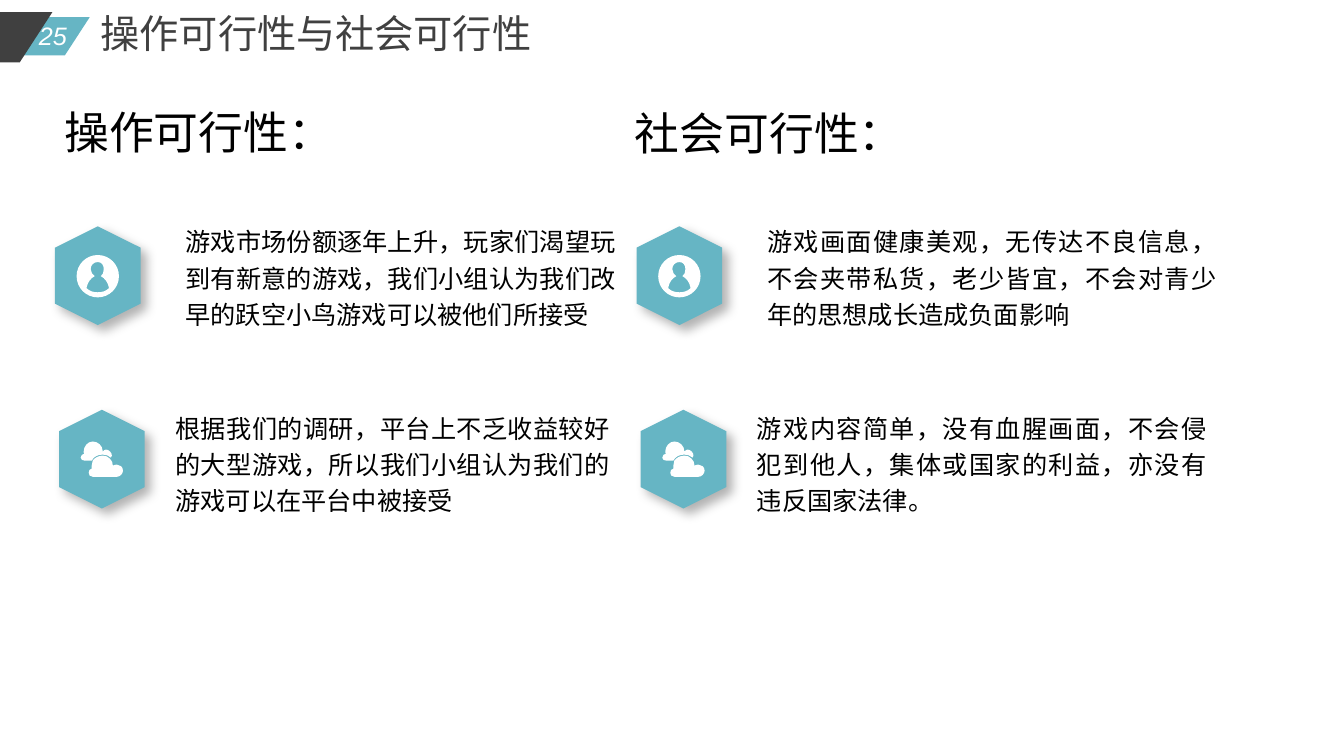
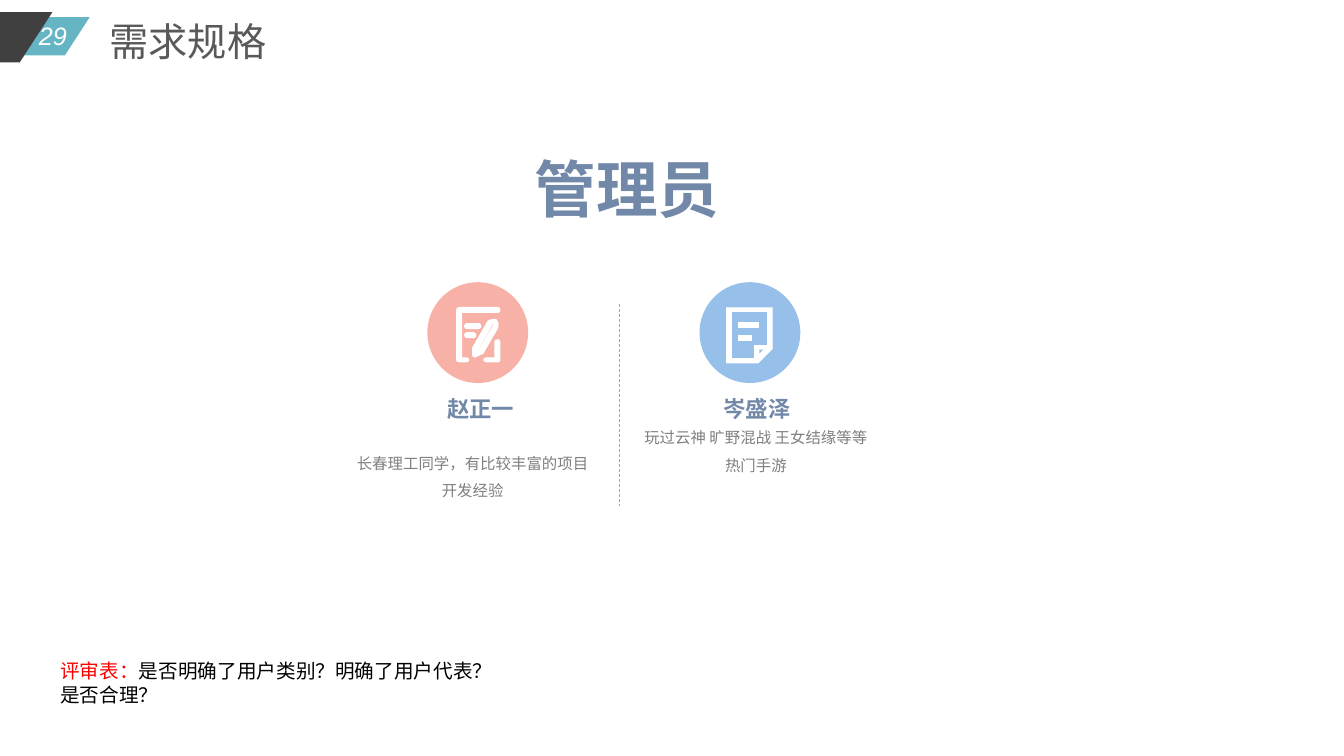
from dataclasses import dataclass
from typing import NamedTuple

from lxml.etree import SubElement
from pptx import Presentation
from pptx.dml.color import RGBColor
from pptx.enum.dml import MSO_LINE_DASH_STYLE as Dash
from pptx.enum.lang import MSO_LANGUAGE_ID as Language
from pptx.enum.shapes import MSO_CONNECTOR_TYPE as Connector
from pptx.enum.shapes import MSO_SHAPE as Preset
from pptx.enum.text import MSO_AUTO_SIZE as AutoSize
from pptx.enum.text import PP_ALIGN as Align
from pptx.oxml.ns import qn
from pptx.shapes.autoshape import Shape
from pptx.slide import Slide
from pptx.util import Inches, Pt

TEAL, DARK, WHITE, BLACK = "66B5C4", "404040", "FFFFFF", "000000"
SLATE, GRAY, TITLE_GRAY, RULE_GRAY = "7188A8", "7F7F7F", "595959", "A6A6A6"
CORAL, SKY, RED = "F7B1A6", "96C0E9", "FF0000"
LATIN_FONT, CHINESE_FONT = "Arial", "Noto Sans CJK SC"

COLUMN_STEP = 5.77


class Box(NamedTuple):
    left: float
    top: float
    width: float
    height: float


@dataclass
class TextStyle:
    size: float
    color: str
    font: str = LATIN_FONT
    bold: bool = False
    italic: bool = False
    align: Align | None = None
    spacing: float | None = None
    wrap: bool = True
    inset: bool = True


@dataclass
class Icon:
    """Outlines in hundredths of an inch, plus bars given as boxes."""
    outlines: tuple[str, ...]
    bars: tuple[Box, ...] = ()
    bar_preset: Preset = Preset.RECTANGLE
    line_width: float = 0


@dataclass
class Feature:
    column: int
    hexagon_left: float
    hexagon_top: float
    icon: Icon
    icon_top: float
    text_box: Box
    text: str


@dataclass
class Member:
    circle_left: float
    color: str
    icon: Icon
    icon_left: float
    name: str
    name_box: Box
    profile: str
    profile_box: Box


PERSON = Icon((
    "M 21 0 C 9.4 0 0 9.4 0 21 C 0 32.6 9.4 42 21 42 C 32.6 42 42 32.6 42 21 C 42 9.4 32.6 0 21 0 "
    "M 32 33 C 29 36 25 37 21 37 C 17 37 13 36 10 33 C 10 33 10 32 10 32 C 11 27 14 23 18 21 "
    "C 16 20 14 17 14 14 C 14 10 17 7 21 7 C 25 7 27 10 27 14 C 27 17 26 20 24 21 "
    "C 28 23 31 27 32 32 C 32 32 32 33 32 33",))
CLOUDS = Icon((
    "M 22 14 C 25 14 27 15 29 17 C 31 19 32 21 32 24 C 33 23 35 23 36 23 C 39 23 42 25 42 29 "
    "C 42 32 39 35 36 35 L 12 35 C 9 35 8 33 8 31 C 8 29 9 27 11 27 C 11 26 11 25 11 24 "
    "C 11 22 12 21 12 19 C 14 16 18 14 22 14 "
    "M 12 0 C 17 0 22 4 22 10 C 23 9 24 8 25 8 C 28 8 31 11 31 14 C 31 15 30 15 30 16 "
    "C 28 14 25 13 22 13 C 17 13 13 15 11 19 L 4 19 C 2 19 0 18 0 16 C 0 14 2 12 4 12 "
    "C 3 12 3 11 3 10 C 3 5 7 0 12 0",))
EDIT = Icon((
    "M 10 50 L 5 50 L 5 5 L 41 5 C 42 5 43 4 43 3 C 43 1 42 0 41 0 L 3 0 C 1 0 0 1 0 3 "
    "L 0 52 C 0 53 1 54 3 54 L 10 54 C 11 54 12 53 12 52 C 12 51 11 50 10 50",
    "M 41 32 C 39 32 38 33 38 34 L 38 50 L 30 50 C 28 50 27 51 27 52 C 27 53 28 54 30 54 "
    "L 41 54 C 42 54 43 53 43 52 L 43 34 C 43 33 42 32 41 32",
    "M 39 12 C 38 12 37 12 36 12 C 34 12 32 13 31 14 L 16 40 L 16 47 C 16 48 16 49 17 49 "
    "L 19 49 L 25 46 L 26 46 L 41 20 C 42 17 41 14 39 12 "
    "M 37 17 L 22 43 L 21 43 L 21 42 L 35 17 L 36 16"),
    (Box(0.08, 0.16, 0.16, 0.05), Box(0.08, 0.25, 0.11, 0.05)),
    Preset.ROUNDED_RECTANGLE, 0.75)
NOTE = Icon((
    "M 0 0 L 0 55 L 31 55 L 45 41 L 45 0 M 5 4 L 40 4 L 40 38 L 28 38 L 28 51 L 5 51 "
    "M 37 42 L 32 47 L 32 42",),
    (Box(0.12, 0.15, 0.2, 0.05), Box(0.12, 0.28, 0.13, 0.05)), line_width=0.75)

NUMBER = TextStyle(18, WHITE, italic=True, align=Align.CENTER, wrap=False)
HEADING = TextStyle(32, BLACK)
BODY = TextStyle(18, BLACK, align=Align.JUSTIFY, spacing=1.2, inset=False)
ROLE = TextStyle(44, SLATE, bold=True, align=Align.CENTER)
NAME = TextStyle(16, SLATE, CHINESE_FONT, bold=True, align=Align.CENTER, wrap=False)
PROFILE = TextStyle(11, GRAY, CHINESE_FONT, align=Align.CENTER, spacing=1.5)
REVIEW = TextStyle(14, BLACK)

HEADINGS = (("操作可行性：", Box(0.54, 0.99, 3.71, 0.64)),
            ("社会可行性：", Box(6.2, 1, 3.71, 0.64)))
FEATURES = (
    Feature(0, 0.48, 2.31, PERSON, 2.53, Box(1.84, 2.19, 4.27, 1.06),
            "游戏市场份额逐年上升，玩家们渴望玩到有新意的游戏，我们小组认为我们改早的跃空小鸟游戏可以被他们所接受"),
    Feature(0, 0.52, 4.13, CLOUDS, 4.38, Box(1.74, 4.04, 4.31, 1.06),
            "根据我们的调研，平台上不乏收益较好的大型游戏，所以我们小组认为我们的游戏可以在平台中被接受"),
    Feature(1, 0.48, 2.31, PERSON, 2.53, Box(1.84, 2.19, 4.46, 1.06),
            "游戏画面健康美观，无传达不良信息，不会夹带私货，老少皆宜，不会对青少年的思想成长造成负面影响"),
    Feature(1, 0.52, 4.13, CLOUDS, 4.38, Box(1.74, 4.04, 4.46, 1.06),
            "游戏内容简单，没有血腥画面，不会侵犯到他人，集体或国家的利益，亦没有违反国家法律。"),
)
MEMBERS = (
    Member(4.24, CORAL, EDIT, 4.53, "赵正一", Box(4.33, 3.87, 0.88, 0.37),
           "长春理工同学，有比较丰富的项目开发经验", Box(3.44, 4.36, 2.5, 0.62)),
    Member(6.94, SKY, NOTE, 7.21, "岑盛泽", Box(7.06, 3.87, 0.9, 0.37),
           "玩过云神 旷野混战 王女结缘等等热门手游", Box(6.25, 4.11, 2.5, 0.62)),
)


def rgb(color: str) -> RGBColor:
    return RGBColor.from_string(color)


def paint(shape: Shape, color: str, line_width: float = 0) -> None:
    shape.shadow.inherit = False
    shape.fill.solid()
    shape.fill.fore_color.rgb = rgb(color)
    if line_width:
        shape.line.color.rgb = rgb(color)
        shape.line.width = Pt(line_width)
    else:
        shape.line.fill.background()


def add_preset(slide: Slide, preset: Preset, box: Box, color: str,
               line_width: float = 0) -> Shape:
    shape = slide.shapes.add_shape(preset, *map(Inches, box))
    paint(shape, color, line_width)
    return shape


def add_text(slide: Slide, box: Box, style: TextStyle,
             *runs: tuple[str, str] | str) -> None:
    """Add one paragraph; a run is a string or a (string, colour) pair."""
    frame = slide.shapes.add_textbox(*map(Inches, box)).text_frame
    frame.word_wrap = style.wrap
    frame.auto_size = AutoSize.SHAPE_TO_FIT_TEXT
    if not style.inset:
        frame.margin_left = frame.margin_right = frame.margin_top = frame.margin_bottom = 0
    paragraph = frame.paragraphs[0]
    paragraph.alignment = style.align
    paragraph.line_spacing = style.spacing
    for item in runs:
        text, color = (item, style.color) if isinstance(item, str) else item
        run = paragraph.add_run()
        run.text = text
        font = run.font
        font.name, font.size = style.font, Pt(style.size)
        font.bold, font.italic = style.bold, style.italic
        font.color.rgb = rgb(color)
        font.language_id = Language.SIMPLIFIED_CHINESE
        SubElement(run._r.get_or_add_rPr(), qn("a:ea"), typeface=CHINESE_FONT)


def add_outline(slide: Slide, outline: str, left: float, top: float) -> Shape:
    """Draw M, L and C commands as one freeform with true curves."""
    builder = None
    curves: list[int] = []
    drawn = 0
    tokens = iter(outline.split())
    for command in tokens:
        count = 3 if command == "C" else 1
        points = [(Inches(left + float(next(tokens)) / 100),
                   Inches(top + float(next(tokens)) / 100)) for _ in range(count)]
        if builder is None:
            builder = slide.shapes.build_freeform(*points[0])
        elif command == "M":
            builder.move_to(*points[0])
        else:
            if command == "C":
                curves.append(drawn)
            builder.add_line_segments(points, close=False)
            drawn += count
    shape = builder.convert_to_shape()
    segments = list(shape._element.iter(qn("a:lnTo")))
    for first in curves:
        curve, *others = segments[first:first + 3]
        path_curve = curve.makeelement(qn("a:cubicBezTo"))
        curve.addprevious(path_curve)
        for segment in (curve, *others):
            path_curve.append(segment[0])
            segment.getparent().remove(segment)
    return shape


def add_icon(slide: Slide, icon: Icon, left: float, top: float) -> None:
    for outline in icon.outlines:
        paint(add_outline(slide, outline, left, top), WHITE, icon.line_width)
    for bar in icon.bars:
        placed = Box(left + bar.left, top + bar.top, bar.width, bar.height)
        shape = add_preset(slide, icon.bar_preset, placed, WHITE, icon.line_width)
        if icon.bar_preset == Preset.ROUNDED_RECTANGLE:
            shape.adjustments[0] = 0.5


def add_hexagon(slide: Slide, left: float, top: float) -> None:
    """Add an upright hexagon with a soft shadow to the lower right."""
    hexagon = add_preset(slide, Preset.HEXAGON, Box(left, top, 0.98, 0.85), TEAL)
    hexagon.rotation = 90
    effects = hexagon._element.spPr.find(qn("a:effectLst"))
    shadow = SubElement(effects, qn("a:outerShdw"), blurRad=str(Pt(8)), dist=str(Pt(6)),
                        dir=str(45 * 60000), algn="tl", rotWithShape="0")
    color = SubElement(shadow, qn("a:srgbClr"), val=BLACK)
    SubElement(color, qn("a:alpha"), val="30000")


def add_page(presentation: Presentation, number: str, title: str, title_box: Box,
             title_style: TextStyle) -> Slide:
    """Add a blank slide with the corner bands, page number and title."""
    slide = presentation.slides.add_slide(presentation.slide_layouts[6])
    for box, color in ((Box(-1.1, 0.17, 1.99, 0.38), TEAL), (Box(-2.08, 0.12, 2.6, 0.5), DARK)):
        add_preset(slide, Preset.PARALLELOGRAM, box, color).adjustments[0] = 0.65
    add_text(slide, Box(0.27, 0.15, 0.51, 0.4), NUMBER, number)
    add_text(slide, title_box, title_style, title)
    return slide


def add_feasibility_slide(presentation: Presentation) -> None:
    slide = add_page(presentation, "25", "操作可行性与社会可行性", Box(0.9, 0.04, 4.51, 0.57),
                     TextStyle(28, DARK, CHINESE_FONT, wrap=False))
    for heading, box in HEADINGS:
        add_text(slide, box, HEADING, heading)
    for feature in FEATURES:
        shift = feature.column * COLUMN_STEP
        add_hexagon(slide, feature.hexagon_left + shift, feature.hexagon_top)
        add_icon(slide, feature.icon, feature.hexagon_left + 0.28 + shift, feature.icon_top)
        box = feature.text_box
        add_text(slide, box._replace(left=box.left + shift), BODY, feature.text)


def add_requirements_slide(presentation: Presentation) -> None:
    slide = add_page(presentation, "29", "需求规格", Box(0.98, 0.12, 1.77, 0.57),
                     TextStyle(28, TITLE_GRAY, align=Align.CENTER, wrap=False))
    add_text(slide, Box(4.51, 1.45, 3.42, 0.84), ROLE, "管理员")
    for member in MEMBERS:
        add_preset(slide, Preset.OVAL, Box(member.circle_left, 2.8, 1, 1), member.color)
        add_icon(slide, member.icon, member.icon_left, 3.05)
        add_text(slide, member.name_box, NAME, member.name)
        add_text(slide, member.profile_box, PROFILE, member.profile)
    divider = slide.shapes.add_connector(
        Connector.STRAIGHT, Inches(6.14), Inches(3.02), Inches(6.14), Inches(5.02))
    divider.line.color.rgb = rgb(RULE_GRAY)
    divider.line.width = Pt(0.5)
    divider.line.dash_style = Dash.DASH
    SubElement(divider._element.spPr, qn("a:effectLst"))
    add_text(slide, Box(0.5, 6.49, 4.49, 0.57), REVIEW, ("评审表：", RED),
             "是否明确了用户类别？明确了用户代表？是否合理？")


def main() -> None:
    presentation = Presentation()
    presentation.slide_width, presentation.slide_height = Inches(40 / 3), Inches(7.5)
    add_feasibility_slide(presentation)
    add_requirements_slide(presentation)
    presentation.save("out.pptx")


if __name__ == "__main__":
    main()
